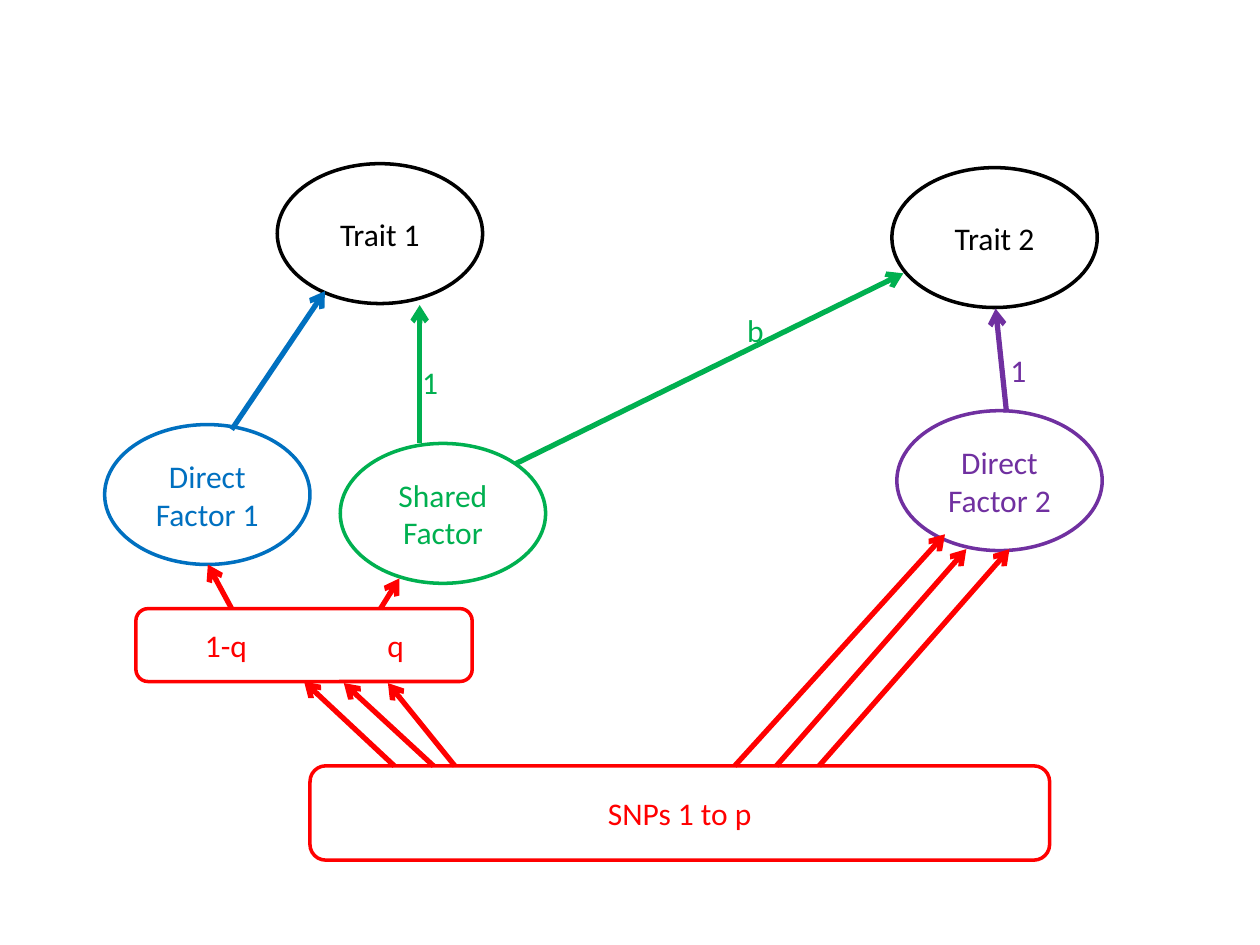
import pptx
import pptx.util
import pptx.dml.color
import pptx.enum.shapes
import pptx.enum.text
import pptx.oxml
import pptx.oxml.ns
from lxml import etree

Cm, Pt = pptx.util.Cm, pptx.util.Pt
SHAPE = pptx.enum.shapes.MSO_SHAPE
ALIGN = pptx.enum.text.PP_ALIGN

COLORS = {"black": "000000", "white": "FFFFFF", "blue": "0070C0",
          "purple": "7030A0", "green": "00B050", "red": "FF0000"}

FACTOR_SIZE = (4.14, 2.82)
FACTORS = [
    ("Direct Factor 1", "blue", 2.11, 8.56),
    ("Trait 1", "black", 5.59, 3.3),
    ("Trait 2", "black", 17.98, 3.38),
    ("Direct Factor 2", "purple", 18.08, 8.28),
    ("Shared Factor", "green", 6.86, 8.94),
]
SNPS = ("SNPs 1 to p", 6.25, 15.44, 14.91, 1.9)
SPLIT = ("1-q\tq", 2.74, 12.27, 6.78, 1.47)
SPLIT_INSET, SPLIT_TAB = 1.32, 3.68

PATHS = [
    ("purple", 20.29, 8.31, 20.07, 6.22),
    ("green", 8.46, 8.94, 8.46, 6.15),
    ("green", 10.39, 9.35, 18.21, 5.51),
    ("blue", 4.67, 8.66, 6.55, 5.87),
    ("red", 14.81, 15.44, 19.05, 10.77),
    ("red", 15.65, 15.44, 19.48, 11.07),
    ("red", 16.51, 15.44, 20.35, 11.07),
    ("red", 9.17, 15.44, 7.82, 13.77),
    ("red", 8.74, 15.44, 6.93, 13.77),
    ("red", 7.67, 12.27, 8.05, 11.66),
    ("red", 4.67, 12.27, 4.19, 11.38),
]
SNPS_TO_SPLIT = ("red", 7.95, 15.44, 6.13, 13.74)

LABEL_SIZE = (0.84, 1.02)
LABELS = [("1", "purple", 20.12, 6.96), ("1", "green", 8.26, 7.19),
          ("b", "green", 14.81, 6.15)]


def rgb(color):
    return pptx.dml.color.RGBColor.from_string(COLORS[color])


def write(holder, text, color, align):
    frame = holder.text_frame
    frame.word_wrap = True
    paragraph = frame.paragraphs[0]
    paragraph.text = text
    paragraph.alignment = align
    for run in paragraph.runs:
        run.font.size = Pt(18)
        run.font.name = "Calibri"
        run.font.color.rgb = rgb(color)


def add_node(slide, kind, text, color, *box):
    node = slide.shapes.add_shape(kind, *map(Cm, box))
    node.shadow.inherit = False
    node.line.color.rgb = rgb(color)
    node.line.width = Pt(2)
    node.text_frame.vertical_anchor = pptx.enum.text.MSO_ANCHOR.MIDDLE
    write(node, text, color, ALIGN.CENTER)
    return node


def add_arrow(slide, color, *ends):
    arrow = slide.shapes.add_connector(
        pptx.enum.shapes.MSO_CONNECTOR.STRAIGHT, *map(Cm, ends))
    arrow.line.color.rgb = rgb(color)
    arrow.line.width = Pt(3)
    qn = pptx.oxml.ns.qn
    etree.SubElement(arrow.line._get_or_add_ln(), qn("a:tailEnd"), type="arrow")
    etree.SubElement(arrow._element.spPr, qn("a:effectLst"))
    return arrow


def set_split_tab(split):
    split.text_frame.margin_left = Cm(SPLIT_INSET)
    paragraph = split.text_frame.paragraphs[0]
    paragraph.alignment = ALIGN.LEFT
    qn = pptx.oxml.ns.qn
    tabs = etree.SubElement(paragraph._p.get_or_add_pPr(), qn("a:tabLst"))
    etree.SubElement(tabs, qn("a:tab"), pos=str(Cm(SPLIT_TAB)), algn="l")


def main():
    deck = pptx.Presentation()
    deck.slide_width, deck.slide_height = Cm(25.4), Cm(19.05)
    slide = deck.slides.add_slide(deck.slide_layouts[6])

    for text, color, left, top in FACTORS:
        factor = add_node(slide, SHAPE.OVAL, text, color, left, top, *FACTOR_SIZE)
        factor.fill.solid()
        factor.fill.fore_color.rgb = rgb("white")

    snps, split = [add_node(slide, SHAPE.ROUNDED_RECTANGLE, text, "red", *box)
                   for text, *box in (SNPS, SPLIT)]
    for band in (snps, split):
        band.fill.background()
    set_split_tab(split)

    for path_ends in PATHS:
        add_arrow(slide, *path_ends)
    add_arrow(slide, *SNPS_TO_SPLIT).end_connect(split, 2)

    for text, color, left, top in LABELS:
        label = slide.shapes.add_textbox(*map(Cm, (left, top, *LABEL_SIZE)))
        write(label, text, color, ALIGN.LEFT)

    deck.save("out.pptx")


if __name__ == "__main__":
    main()
